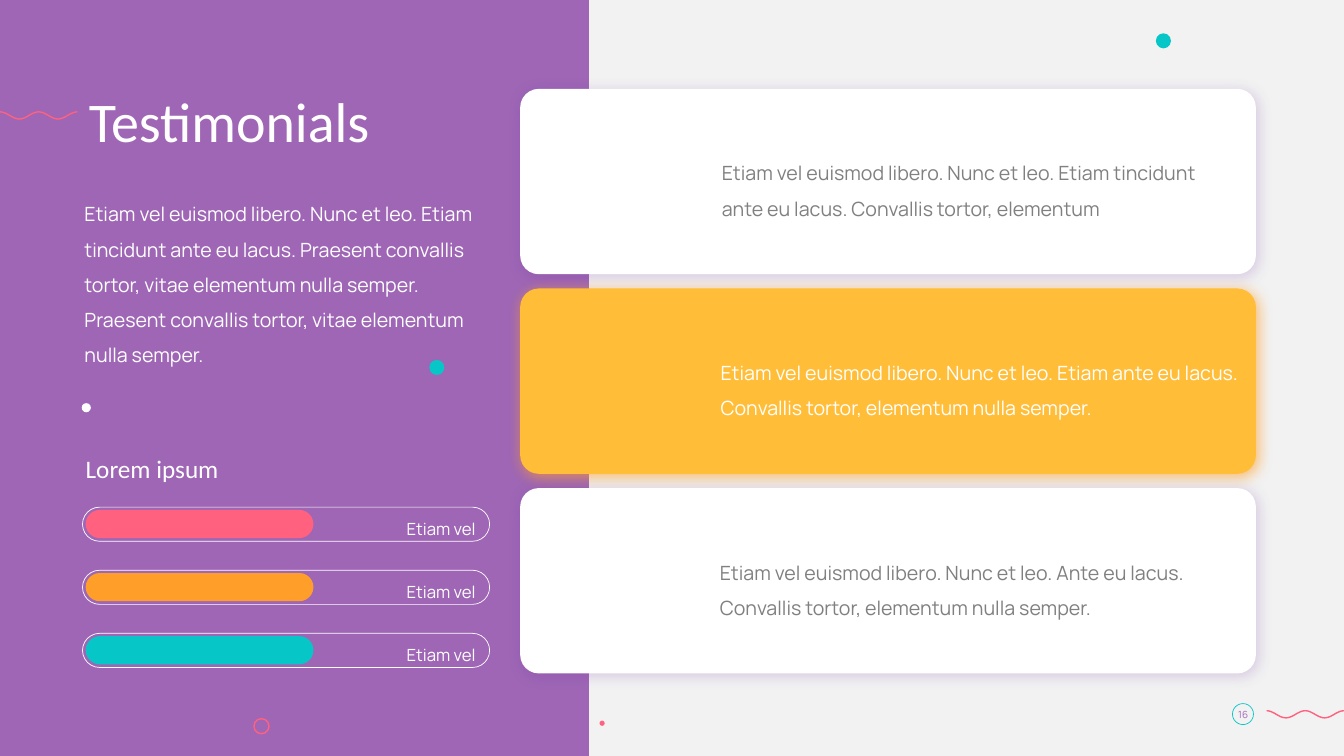
from math import cos, pi

from pptx import Presentation
from pptx.dml.color import RGBColor
from pptx.enum.shapes import MSO_SHAPE
from pptx.enum.text import MSO_ANCHOR, MSO_AUTO_SIZE, PP_ALIGN
from pptx.oxml import parse_xml
from pptx.oxml.ns import nsdecls
from pptx.util import Cm, Pt

PURPLE = RGBColor(0x9E, 0x66, 0xB5)
VIOLET = RGBColor(0x70, 0x30, 0xA0)
YELLOW = RGBColor(0xFF, 0xBD, 0x38)
ORANGE = RGBColor(0xFF, 0x9F, 0x2A)
PINK = RGBColor(0xFF, 0x61, 0x7F)
TEAL = RGBColor(0x07, 0xC6, 0xC7)
WHITE = RGBColor(0xFF, 0xFF, 0xFF)
LIGHT_GRAY = RGBColor(0xF2, 0xF2, 0xF2)
GRAY = RGBColor(0x80, 0x80, 0x80)

HEADING_FONT = "Calibri"
BODY_FONT = "Manrope"

INTRO = (
    "Etiam vel euismod libero. Nunc et leo. Etiam tincidunt ante eu lacus. "
    "Praesent convallis tortor, vitae elementum nulla semper. "
    "Praesent convallis tortor, vitae elementum nulla semper."
)
CARD_TOP, CARD_PITCH = 2.24, 5.03
CARDS = [
    (18.19, 13.03, WHITE, VIOLET, 22, GRAY,
     "Etiam vel euismod libero. Nunc et leo. Etiam tincidunt ante eu lacus. "
     "Convallis tortor, elementum"),
    (18.16, 13.51, YELLOW, ORANGE, 68, WHITE,
     "Etiam vel euismod libero. Nunc et leo. Etiam ante eu lacus. "
     "Convallis tortor, elementum nulla semper."),
    (18.14, 13.94, WHITE, VIOLET, 22, GRAY,
     "Etiam vel euismod libero. Nunc et leo. Ante eu lacus. "
     "Convallis tortor, elementum nulla semper."),
]
BAR_TOP, BAR_PITCH = 12.78, 1.59
BAR_COLORS = [PINK, ORANGE, TEAL]
DOTS = [
    (10.82, 9.07, 0.38, TEAL),
    (2.06, 10.16, 0.23, WHITE),
    (29.13, 0.84, 0.38, TEAL),
    (15.11, 18.16, 0.13, PINK),
]
RINGS = [(6.4, 18.11, 0.38, PINK, 1), (31.06, 17.73, 0.53, TEAL, 0.5)]
WAVES = [(0, 2.82), (31.92, 17.91)]


def place(shape, left, top, width, height):
    """Move and size a shape, in centimetres."""
    shape.left, shape.top = Cm(left), Cm(top)
    shape.width, shape.height = Cm(width), Cm(height)


def paint(shape, fill=None, line=None, line_width=1):
    """Give a shape a plain fill and outline without a shadow."""
    shape.shadow.inherit = False
    if fill is None:
        shape.fill.background()
    else:
        shape.fill.solid()
        shape.fill.fore_color.rgb = fill
    if line is None:
        shape.line.fill.background()
    else:
        shape.line.color.rgb = line
        shape.line.width = Pt(line_width)


def add_figure(shapes, kind, box, corner=None, **colors):
    """Add a preset shape in a box of centimetres."""
    figure = shapes.add_shape(kind, *map(Cm, box))
    if corner is not None:
        figure.adjustments[0] = corner
    paint(figure, **colors)
    return figure


def add_glow(shape, color, opacity):
    """Add a soft coloured shadow to a painted shape."""
    shape.element.spPr.find("{*}effectLst").append(parse_xml(
        f'<a:outerShdw {nsdecls("a")} blurRad="{Pt(11)}" dist="{Pt(2)}" '
        f'dir="2700000" algn="tl" rotWithShape="0"><a:srgbClr val="{color}">'
        f'<a:alpha val="{opacity * 1000}"/></a:srgbClr></a:outerShdw>'))


def write(shape, text, size, color, font=BODY_FONT, align=PP_ALIGN.LEFT,
          spacing=1.5, anchor=MSO_ANCHOR.TOP, right=0.25):
    """Put one formatted paragraph into a shape."""
    frame = shape.text_frame
    frame.text = text
    frame.word_wrap = True
    frame.auto_size = MSO_AUTO_SIZE.NONE
    frame.vertical_anchor = anchor
    frame.margin_left, frame.margin_right = 0, Cm(right)
    frame.margin_top = frame.margin_bottom = Cm(0.13)
    paragraph = frame.paragraphs[0]
    paragraph.alignment = align
    paragraph.line_spacing = spacing
    letters = paragraph.runs[0].font
    letters.name, letters.size = font, Pt(size)
    letters.color.rgb = color


def add_text(shapes, box, *content, **style):
    """Add a text box in a box of centimetres."""
    write(shapes.add_textbox(*map(Cm, box)), *content, **style)


def add_wave(shapes, left, top):
    """Draw a pink wave of two periods."""
    steps, length, height = 48, 1.95, 0.18
    points = [
        (Cm(left + length * step / steps),
         Cm(top + height * (1 - cos(4 * pi * step / steps)) / 2))
        for step in range(steps + 1)
    ]
    builder = shapes.build_freeform(*points[0])
    builder.add_line_segments(points[1:], close=False)
    paint(builder.convert_to_shape(), line=PINK)


def add_card(shapes, top, text_left, text_width, fill, glow, opacity, ink, quote):
    """Add a testimonial card with its quote."""
    card = add_figure(shapes, MSO_SHAPE.ROUNDED_RECTANGLE,
                      (13.11, top, 18.54, 4.67), corner=0.1, fill=fill)
    add_glow(card, glow, opacity)
    add_text(shapes, (text_left, top + 1.4, text_width, 1.98), quote, 14, ink)


def add_progress_bar(shapes, top, color):
    """Add a grouped progress bar with its label."""
    bar = shapes.add_group_shape().shapes
    add_text(bar, (10.06, top - 0.1, 2.18, 1.19), "Etiam vel", 12, WHITE,
             align=PP_ALIGN.RIGHT)
    add_figure(bar, MSO_SHAPE.ROUNDED_RECTANGLE, (2.08, top, 10.26, 0.86),
               corner=0.5, line=WHITE, line_width=0.5)
    add_figure(bar, MSO_SHAPE.ROUNDED_RECTANGLE, (2.16, top + 0.07, 5.74, 0.71),
               corner=0.5, fill=color)


def main():
    """Build the testimonials slide."""
    deck = Presentation()
    deck.slide_width, deck.slide_height = Cm(33.87), Cm(19.05)
    slide = deck.slides.add_slide(deck.slide_layouts[5])
    slide.background.fill.solid()
    slide.background.fill.fore_color.rgb = LIGHT_GRAY
    shapes = slide.shapes

    panel = add_figure(shapes, MSO_SHAPE.RECTANGLE, (0, 0, 14.84, 19.05), fill=PURPLE)
    title = shapes.title
    panel.element.addnext(title.element)
    place(title, 2.24, 2.24, 10.01, 2.06)
    write(title, "Testimonials", 40, WHITE, font=HEADING_FONT, spacing=0.9)

    for row, card in enumerate(CARDS):
        add_card(shapes, CARD_TOP + row * CARD_PITCH, *card)
    for wave in WAVES:
        add_wave(shapes, *wave)
    for left, top, size, color in DOTS:
        add_figure(shapes, MSO_SHAPE.OVAL, (left, top, size, size), fill=color)
    for left, top, size, color, weight in RINGS:
        add_figure(shapes, MSO_SHAPE.OVAL, (left, top, size, size),
                   line=color, line_width=weight)

    add_text(shapes, (2.13, 4.67, 10.19, 4.67), INTRO, 14, WHITE)
    add_text(shapes, (2.16, 10.9, 10.19, 1.3), "Lorem ipsum", 18, WHITE,
             font=HEADING_FONT)
    for row, color in enumerate(BAR_COLORS):
        add_progress_bar(shapes, BAR_TOP + row * BAR_PITCH, color)
    add_text(shapes, (30.86, 17.73, 0.94, 0.56), "16", 7, PURPLE,
             align=PP_ALIGN.CENTER, spacing=1.0, anchor=MSO_ANCHOR.BOTTOM, right=0)

    deck.save("out.pptx")


if __name__ == "__main__":
    main()
